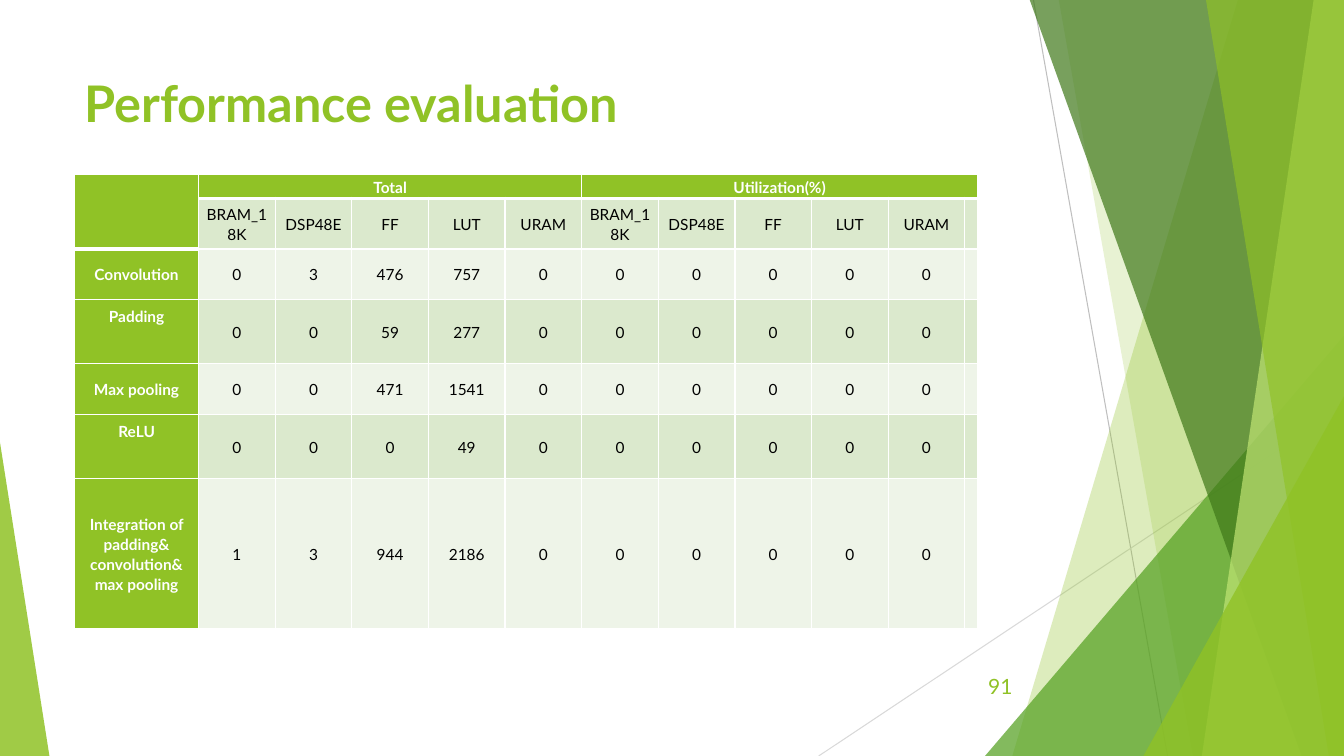
from lxml.etree import SubElement
from pptx import Presentation
from pptx.dml.color import RGBColor
from pptx.enum.shapes import MSO_CONNECTOR, MSO_SHAPE
from pptx.enum.text import MSO_ANCHOR, PP_ALIGN
from pptx.oxml.ns import qn
from pptx.util import Inches, Pt

# Colours
LIME = RGBColor(0x90, 0xC2, 0x26)
GREEN = RGBColor(0x54, 0xA0, 0x21)
DARK = RGBColor(0x3F, 0x78, 0x19)
PALE = RGBColor(0xC0, 0xE4, 0x74)
BAND = RGBColor(0xDB, 0xE9, 0xCD)
LIGHT = RGBColor(0xEE, 0xF4, 0xE8)
WHITE = RGBColor(0xFF, 0xFF, 0xFF)
BLACK = RGBColor(0, 0, 0)
GRAY = RGBColor(0xBF, 0xBF, 0xBF)
SILVER = RGBColor(0xD9, 0xD9, 0xD9)

# Content
FONT = "Lato"
TITLE = "Performance evaluation"
NUMBER = "91"
GROUPS = {1: ("Total", 5), 6: ("Utilization(%)", 11)}  # first column: label, last column
PARTS = ["BRAM_18K", "DSP48E", "FF", "LUT", "URAM"]
USAGE = [
    ("Convolution", [0, 3, 476, 757, 0]),
    ("Padding", [0, 0, 59, 277, 0]),
    ("Max pooling", [0, 0, 471, 1541, 0]),
    ("ReLU", [0, 0, 0, 49, 0]),
    ("Integration of padding& convolution& max pooling", [1, 3, 944, 2186, 0]),
]
HIGH = ("Padding", "ReLU")  # labels set above the middle of their row

# Layout
WIDE, TALL = 13.33, 7.5
LEFT = 0.74
COLS = [1.23] + [0.76] * 10 + [0.13]
ROWS = [0.24, 0.5, 0.5, 0.64, 0.5, 0.64, 1.49]
LINES = [((10.25, 0), (11.58, TALL), GRAY), ((WIDE, 4.03), (8.12, TALL), SILVER)]
# Facets reach the right edge: (top x, bottom x); triangles: (left, top, width, apex)
FACETS = [
    ((12.28, 10.04), LIME, 30),
    ((10.5, 11.83), LIME, 20),
    ((9.77, 3.33, 3.56, 1), GREEN, 72),
    ((10.21, 12.91), DARK, 70),
    ((13.03, 11.92), PALE, 70),
    ((11.96, 13.18), LIME, 65),
    ((11.34, 3.93, 1.99, 1), LIME, 80),
    ((0, 4.39, 0.49, 0), LIME, 85),
]

deck = Presentation()
deck.slide_width, deck.slide_height = Inches(WIDE), Inches(TALL)
slide = deck.slides.add_slide(deck.slide_layouts[6])
shapes = slide.shapes


def write(frame, text, size, color, bold=False, align=PP_ALIGN.LEFT):
    frame.text = text
    frame.word_wrap = True
    para = frame.paragraphs[0]
    para.alignment = align
    for run in para.runs:
        font = run.font
        font.name, font.size, font.bold = FONT, Pt(size), bold
        font.color.rgb = color
    return para


def facet(form, color, alpha):
    if len(form) == 2:
        top, low = form
        dots = [(top, -0.01), (WIDE, -0.01), (WIDE, TALL), (low, TALL)]
        dots = [(Inches(x), Inches(y)) for x, y in dots]
        pen = shapes.build_freeform(*dots[0])
        pen.add_line_segments(dots[1:])
        shape = pen.convert_to_shape()
    else:
        left, top, width, apex = form
        box = [Inches(v) for v in (left, top, width, TALL - top)]
        shape = shapes.add_shape(MSO_SHAPE.ISOSCELES_TRIANGLE, *box)
        shape.adjustments[0] = apex
    shape.shadow.inherit = False
    shape.fill.solid()
    shape.fill.fore_color.rgb = color
    shape.line.fill.background()
    tint = shape.fill._xPr.find(qn("a:solidFill"))[0]
    SubElement(tint, qn("a:alpha")).set("val", str(alpha * 1000))


def border(cell, thick):
    props = cell._tc.get_or_add_tcPr()
    for side in "LRTB":
        width = Pt(3 if side in thick else 1)
        line = SubElement(props, qn("a:ln" + side), w=str(width))
        fill = SubElement(line, qn("a:solidFill"))
        SubElement(fill, qn("a:srgbClr"), val=str(WHITE))


# Thin lines and facets of the backdrop
for start, end, color in LINES:
    ends = [Inches(v) for v in start + end]
    line = shapes.add_connector(MSO_CONNECTOR.STRAIGHT, *ends)
    line.line.color.rgb, line.line.width = color, Pt(0.75)
    SubElement(line._element.spPr, qn("a:effectLst"))
for form, color, alpha in FACETS:
    facet(form, color, alpha)

# Title and slide number
title = shapes.add_textbox(Inches(LEFT), Inches(0.67), Inches(9.4), Inches(1.44))
write(title.text_frame, TITLE, 36, LIME, True)
page = shapes.add_textbox(Inches(9.39), Inches(6.61), Inches(0.75), Inches(0.4))
write(page.text_frame, NUMBER, 15, LIME, align=PP_ALIGN.RIGHT)
page.text_frame.vertical_anchor = MSO_ANCHOR.MIDDLE

# Table text: group heads, part names, then counts and zero shares
heads = [GROUPS.get(c, ("",))[0] for c in range(len(COLS))]
grid = [heads, [""] + PARTS * 2 + [""]]
for label, counts in USAGE:
    grid.append([label] + counts + [0] * len(PARTS) + [""])

# Table
area = [Inches(v) for v in (LEFT, 1.73, sum(COLS), sum(ROWS))]
table = shapes.add_table(len(ROWS), len(COLS), *area).table
for col, width in zip(table.columns, COLS):
    col.width = Inches(width)
for row, height in zip(table.rows, ROWS):
    row.height = Inches(height)

for r, texts in enumerate(grid):
    for c, text in enumerate(texts):
        cell = table.cell(r, c)
        head = r == 0 or c == 0
        # The thick rule runs under the heads, a row lower at the corner
        last = 1 if c == 0 else 0
        border(cell, "B" if r == last else "T" if r == last + 1 else "")
        cell.fill.solid()
        cell.fill.fore_color.rgb = LIME if head else BAND if r % 2 else LIGHT
        cell.margin_left = cell.margin_right = Inches(0.07 if c < 11 else 0)
        cell.margin_top = cell.margin_bottom = 0
        cell.vertical_anchor = MSO_ANCHOR.MIDDLE
        if text in HIGH:
            cell.vertical_anchor = MSO_ANCHOR.TOP
            cell.margin_top = Inches(0.07)
        ink = WHITE if head else BLACK
        para = write(cell.text_frame, str(text), 11, ink, head, PP_ALIGN.CENTER)
        para.line_spacing, para.space_after = 1.07, Pt(8)
        if text == "":
            para._p.get_or_add_endParaRPr().set("sz", "1100")

table.cell(0, 0).merge(table.cell(1, 0))
for first, (label, last) in GROUPS.items():
    table.cell(0, first).merge(table.cell(0, last))

deck.save("out.pptx")
